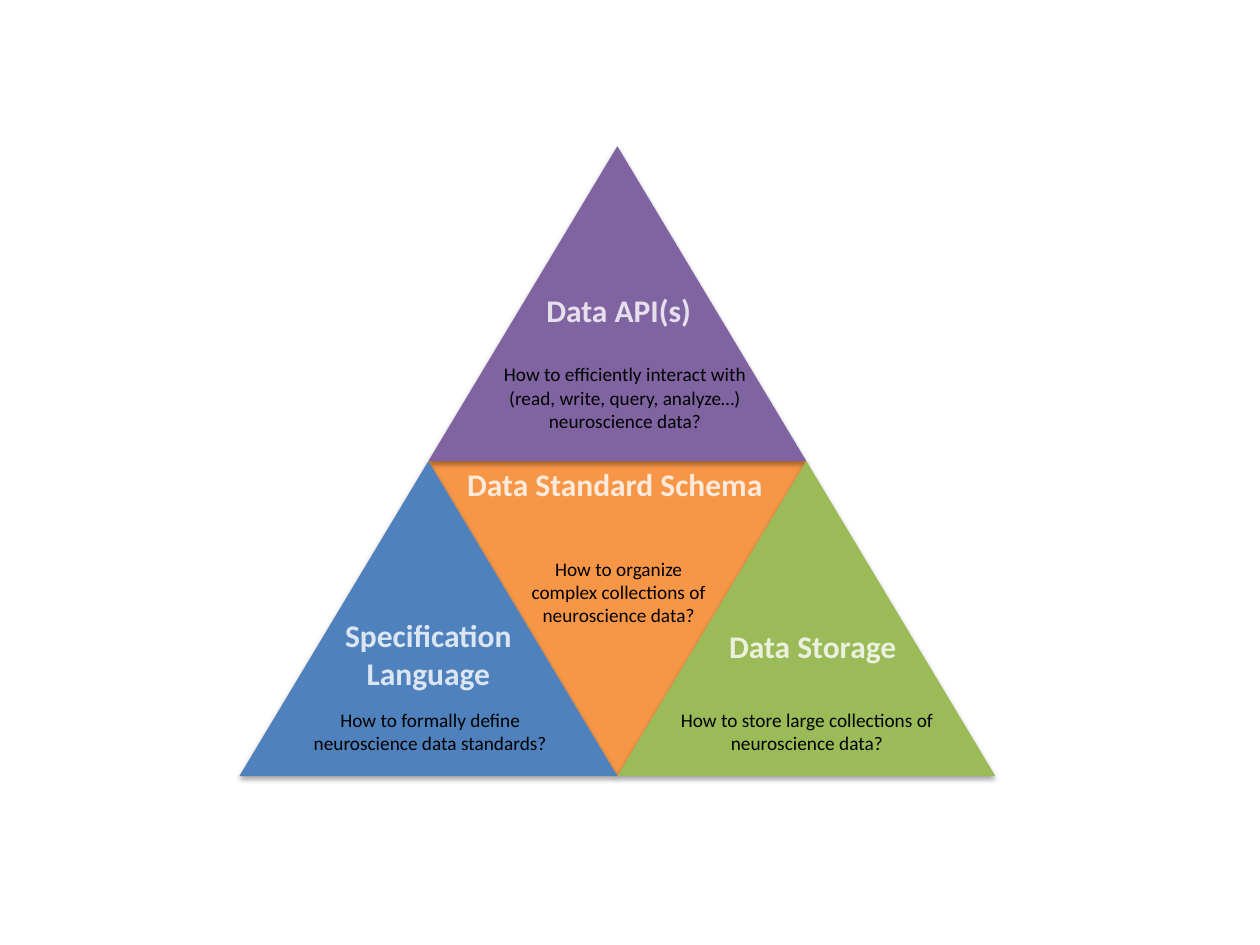
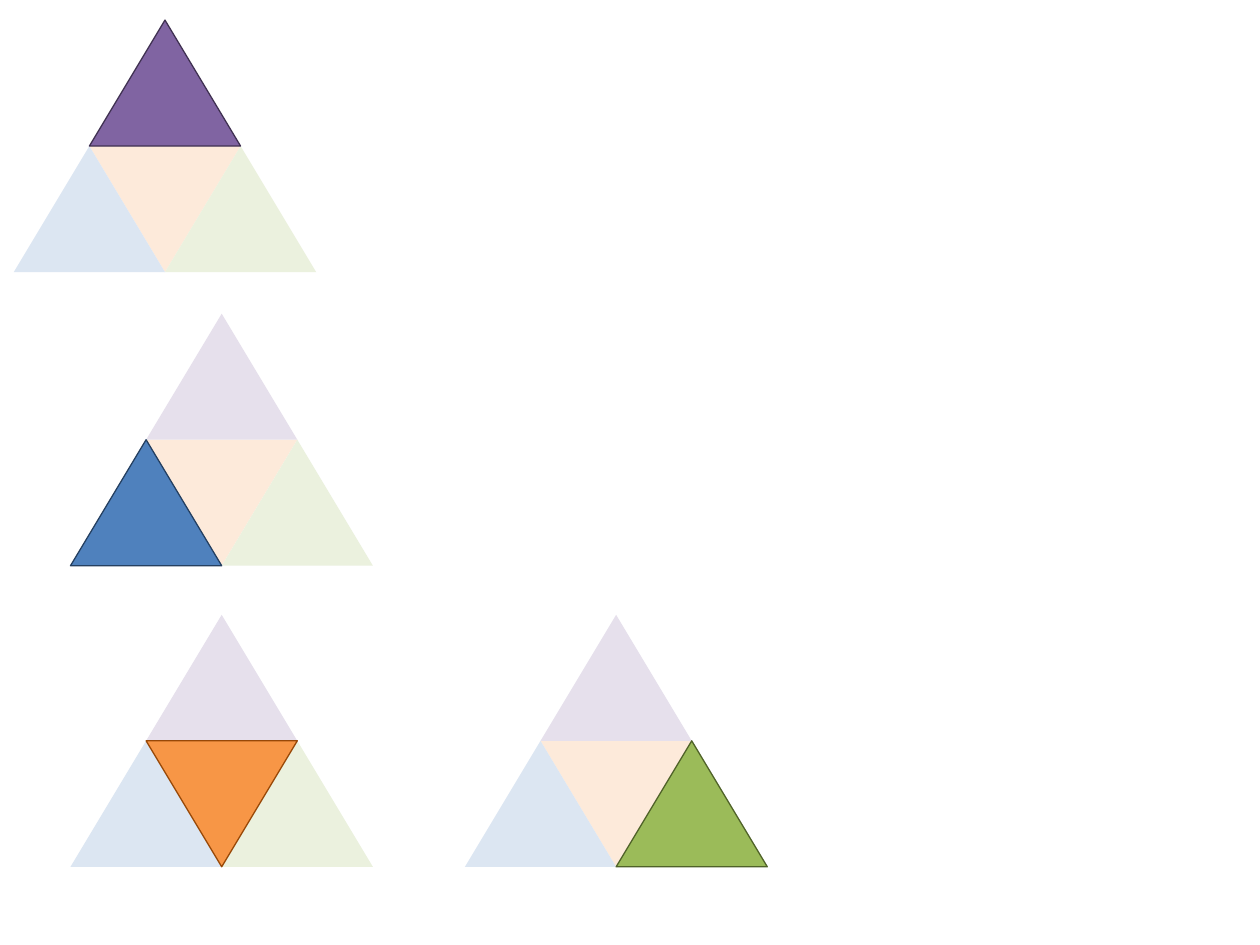
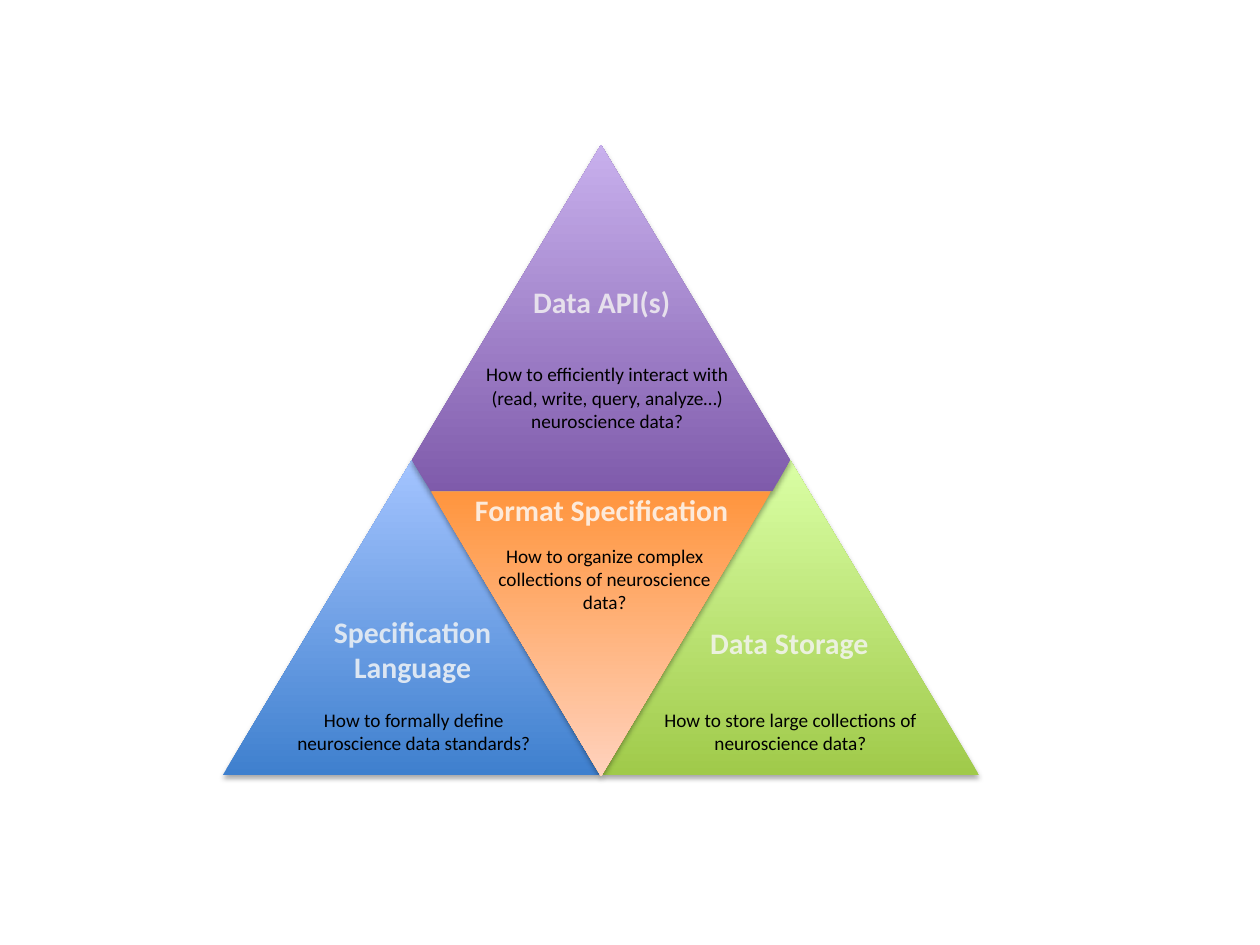
"""Build three slides of triangles about the parts of a data standard."""
from pptx import Presentation
from pptx.dml.color import RGBColor
from pptx.enum.shapes import MSO_SHAPE
from pptx.enum.text import MSO_AUTO_SIZE, PP_ALIGN
from pptx.oxml import parse_xml
from pptx.oxml.ns import nsdecls, qn
from pptx.util import Pt

PX = 9144
SLIDE_W, SLIDE_H = 1000, 750
BLACK = RGBColor(0x00, 0x00, 0x00)
MAIN = {
    "api": RGBColor(0x80, 0x64, 0xA2),
    "schema": RGBColor(0xF7, 0x96, 0x46),
    "language": RGBColor(0x4F, 0x81, 0xBD),
    "storage": RGBColor(0x9B, 0xBB, 0x59),
}
TINT = {
    "api": RGBColor(0xE6, 0xE0, 0xEC),
    "schema": RGBColor(0xFD, 0xEA, 0xDA),
    "language": RGBColor(0xDC, 0xE6, 0xF2),
    "storage": RGBColor(0xEB, 0xF1, 0xDE),
}
EDGE = {
    "api": RGBColor(0x40, 0x31, 0x52),
    "schema": RGBColor(0x98, 0x48, 0x07),
    "language": RGBColor(0x25, 0x40, 0x61),
    "storage": RGBColor(0x4F, 0x62, 0x28),
}
GRADIENT = {
    "api": (RGBColor(0x7F, 0x5B, 0xAB), RGBColor(0xC8, 0xB0, 0xED)),
    "schema": (RGBColor(0xFF, 0x95, 0x3E), RGBColor(0xFF, 0xD2, 0xBD)),
    "language": (RGBColor(0x3F, 0x80, 0xCE), RGBColor(0xA4, 0xC4, 0xFF)),
    "storage": (RGBColor(0xA0, 0xCA, 0x4A), RGBColor(0xDA, 0xFF, 0xA5)),
}

QUESTIONS = {
    "api": "How to efficiently interact with (read, write, query, analyze…) neuroscience data?",
    "schema": "How to organize complex collections of neuroscience data?",
    "language": "How to formally define neuroscience data standards?",
    "storage": "How to store large collections of neuroscience data?",
}
TITLES = {
    "api": "Data API(s)",
    "schema": "Data Standard Schema",
    "language": "Specification Language",
    "storage": "Data Storage",
}
FORMAT_TITLES = {**TITLES, "schema": "Format Specification"}

FLAT_TITLE_BOXES = {
    "api": (377, 226, 228, 40),
    "language": (226, 484, 228, 71),
    "storage": (531, 493, 228, 40),
    "schema": (349, 364, 278, 40),
}
FLAT_QUESTION_BOXES = {
    "api": (382, 283, 228, 66),
    "schema": (407, 437, 168, 66),
    "language": (220, 557, 243, 47),
    "storage": (529, 557, 223, 47),
}
SHADED_TITLE_BOXES = {
    "language": (241, 482, 173, 67),
    "storage": (539, 491, 175, 39),
    "api": (397, 220, 161, 39),
    "schema": (335, 385, 285, 39),
}
SHADED_QUESTION_BOXES = {
    "api": (368, 283, 228, 66),
    "schema": (380, 427, 200, 66),
    "language": (207, 557, 243, 47),
    "storage": (516, 557, 223, 47),
}
BIG_W, BIG_H = 300, 250
SMALL_W, SMALL_H = 120, 100
FLAT_ORIGIN = (190, 116)
SHADED_ORIGIN = (177, 115)
SHADED_SCHEMA_BOX = (342, 390, 270, 226)
SHADED_API_POINTS = [(327, 365), (477, 115), (627, 365), (613, 390), (342, 390)]
SMALL_ORIGINS = {"api": (11, 16), "language": (56, 249), "schema": (56, 488), "storage": (369, 488)}


def triangle_boxes(x, y, w, h):
    """Return the box of each of the four triangles that tile a large one."""
    return {
        "schema": (x + w // 2, y + h, w, h),
        "api": (x + w // 2, y, w, h),
        "language": (x, y + h, w, h),
        "storage": (x + w, y + h, w, h),
    }


def scaled(box):
    """Turn px lengths into EMU."""
    return [v * PX for v in box]


def add_shadow(sp):
    """Give a shape a soft shadow below it."""
    effects = sp._element.spPr.find(qn("a:effectLst"))
    effects.append(parse_xml(
        f'<a:outerShdw {nsdecls("a")} blurRad="39370" dist="22860" dir="5400000" rotWithShape="0">'
        '<a:srgbClr val="000000"><a:alpha val="35000"/></a:srgbClr></a:outerShdw>'))


def paint(sp, color, edge=None, shadow=False):
    """Fill a shape with a plain colour or a pair of gradient colours."""
    sp.shadow.inherit = False
    if isinstance(color, RGBColor):
        sp.fill.solid()
        sp.fill.fore_color.rgb = color
    else:
        sp.fill.gradient()
        sp.fill.gradient_angle = 90
        for stop, rgb in zip(sp.fill.gradient_stops, color):
            stop.color.rgb = rgb
    if edge is None:
        sp.line.fill.background()
    else:
        sp.line.color.rgb = edge
        sp.line.width = Pt(0.75)
    if shadow:
        add_shadow(sp)


def add_triangle(shapes, box, color, flip=False, **style):
    """Add a triangle, upside down if flip is set."""
    sp = shapes.add_shape(MSO_SHAPE.ISOSCELES_TRIANGLE, *scaled(box))
    if flip:
        sp._element.spPr.find(qn("a:xfrm")).set("flipV", "1")
    paint(sp, color, **style)
    return sp


def add_label(shapes, box, text, size, color, bold=None, outline=None):
    """Add a centred text box."""
    tf = shapes.add_textbox(*scaled(box)).text_frame
    tf.word_wrap = True
    tf.auto_size = MSO_AUTO_SIZE.SHAPE_TO_FIT_TEXT
    p = tf.paragraphs[0]
    p.alignment = PP_ALIGN.CENTER
    r = p.add_run()
    r.text = text
    for name, value in {"name": "Calibri", "size": Pt(size), "bold": bold}.items():
        setattr(r.font, name, value)
    r.font.color.rgb = color
    if outline is not None:
        r.font._element.insert(0, parse_xml(
            f'<a:ln {nsdecls("a")} w="12700"><a:solidFill><a:srgbClr val="{outline}"/></a:solidFill></a:ln>'))


def add_labels(shapes, titles, title_boxes, question_boxes, size, outlines):
    """Add the title and the question of every part."""
    for part, box in question_boxes.items():
        add_label(shapes, box, QUESTIONS[part], 11, BLACK)
    for part, box in title_boxes.items():
        add_label(shapes, box, titles[part], size, TINT[part], True, outlines.get(part))


def build_flat(shapes):
    """Draw the labelled triangles in plain colours."""
    for part, box in triangle_boxes(*FLAT_ORIGIN, BIG_W, BIG_H).items():
        add_triangle(shapes, box, MAIN[part], part == "schema", shadow=True)
    add_labels(shapes, TITLES, FLAT_TITLE_BOXES, FLAT_QUESTION_BOXES, 18, {})


def build_highlight(shapes, active):
    """Draw a small pyramid with one part in full colour on top."""
    boxes = triangle_boxes(*SMALL_ORIGINS[active], SMALL_W, SMALL_H)
    for part in sorted(boxes, key=lambda name: name == active):
        color, edge = (MAIN[part], EDGE[part]) if part == active else (TINT[part], None)
        add_triangle(shapes, boxes[part], color, part == "schema", edge=edge)


def build_shaded(shapes):
    """Draw the labelled triangles in gradients."""
    boxes = triangle_boxes(*SHADED_ORIGIN, BIG_W, BIG_H)
    for part in ("language", "storage"):
        add_triangle(shapes, boxes[part], GRADIENT[part], shadow=True)
    start, *rest = SHADED_API_POINTS
    builder = shapes.build_freeform(*start, scale=PX)
    builder.add_line_segments(rest, close=True)
    paint(builder.convert_to_shape(), GRADIENT["api"], shadow=True)
    schema = add_triangle(shapes, SHADED_SCHEMA_BOX, GRADIENT["schema"], shadow=True)
    schema.rotation = 180
    add_labels(shapes, FORMAT_TITLES, SHADED_TITLE_BOXES, SHADED_QUESTION_BOXES, 17, EDGE)


def main():
    """Build and save the slides."""
    prs = Presentation()
    prs.slide_width, prs.slide_height = SLIDE_W * PX, SLIDE_H * PX
    flat, highlights, shaded = [prs.slides.add_slide(prs.slide_layouts[6]) for _ in range(3)]
    build_flat(flat.shapes.add_group_shape().shapes)
    for active in SMALL_ORIGINS:
        build_highlight(highlights.shapes.add_group_shape().shapes, active)
    build_shaded(shaded.shapes.add_group_shape().shapes)
    prs.save("out.pptx")


if __name__ == "__main__":
    main()
